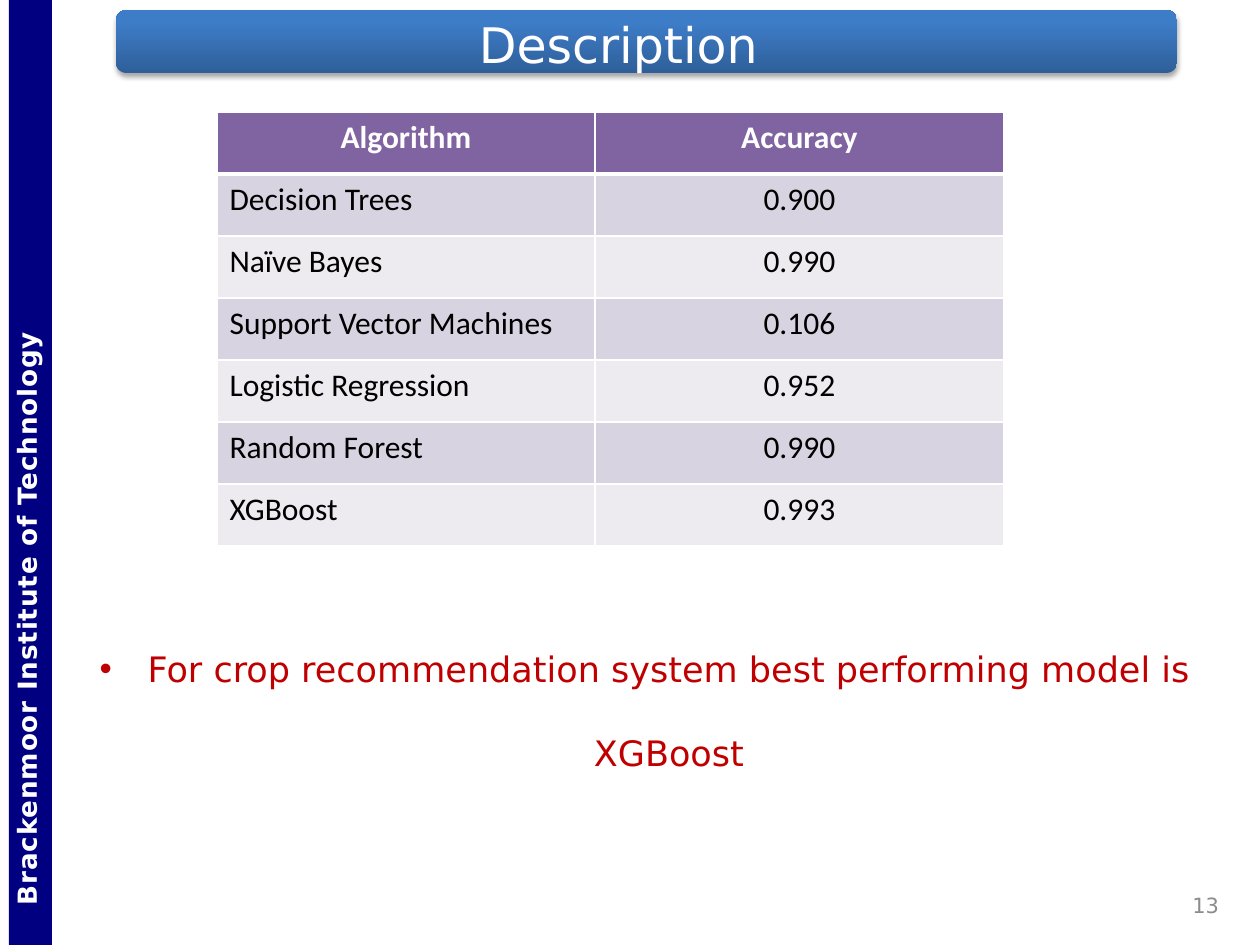
from lxml.etree import SubElement
from pptx import Presentation
from pptx.dml.color import RGBColor
from pptx.enum.shapes import MSO_SHAPE
from pptx.enum.text import MSO_ANCHOR, PP_ALIGN
from pptx.oxml.ns import qn
from pptx.util import Emu, Pt

PX = 914400 / 126
WHITE = RGBColor(0xFF, 0xFF, 0xFF)
BLACK = RGBColor(0x00, 0x00, 0x00)
NAVY = RGBColor(0x00, 0x00, 0x80)
BLUE_DARK = RGBColor(0x2F, 0x5F, 0x99)
BLUE = RGBColor(0x3D, 0x7C, 0xC7)
RED = RGBColor(0xC0, 0x00, 0x00)
GREY = RGBColor(0x8C, 0x8C, 0x8C)
PURPLE = RGBColor(0x80, 0x64, 0xA2)
LILAC = RGBColor(0xD8, 0xD3, 0xE0)
LILAC_PALE = RGBColor(0xED, 0xEA, 0xF0)

ROWS = [
    ("Algorithm", "Accuracy"),
    ("Decision Trees", "0.900"),
    ("Naïve Bayes", "0.990"),
    ("Support Vector Machines", "0.106"),
    ("Logistic Regression", "0.952"),
    ("Random Forest", "0.990"),
    ("XGBoost", "0.993"),
]


def px(*values):
    return [Emu(round(v * PX)) for v in values]


class SlideBuilder:
    font = "DejaVu Sans"

    def __init__(self, slide):
        self.s = slide

    def add_words(self, tf, text, size, color, align=PP_ALIGN.LEFT, bold=False,
                  font=None, **frame):
        for name, value in frame.items():
            setattr(tf, name, value)
        p = tf.paragraphs[0]
        p.alignment = align
        r = p.add_run()
        r.text = text
        style = {"name": font or self.font, "size": Pt(size), "bold": bold}
        for name, value in style.items():
            setattr(r.font, name, value)
        r.font.color.rgb = color
        return p

    def title(self, box, text):
        sp = self.s.shapes.title
        sp.left, sp.top, sp.width, sp.height = px(*box)
        self.add_words(sp.text_frame, text, 28, WHITE, PP_ALIGN.CENTER,
                       vertical_anchor=MSO_ANCHOR.MIDDLE)

    def shape(self, kind, box):
        sp = self.s.shapes.add_shape(kind, *px(*box))
        sp.shadow.inherit = False
        sp.line.fill.background()
        return sp

    def banner(self, box):
        sp = self.shape(MSO_SHAPE.ROUNDED_RECTANGLE, box)
        sp.fill.gradient()
        sp.fill.gradient_angle = 90
        for stop, pos, color in zip(sp.fill.gradient_stops, (0, 0.8),
                                    (BLUE_DARK, BLUE)):
            stop.position = pos
            stop.color.rgb = color
        effects = sp._element.spPr.find(qn("a:effectLst"))
        shadow = SubElement(effects, qn("a:outerShdw"), blurRad=str(Pt(3.1)),
                            dist=str(Pt(1.8)), dir="5400000", rotWithShape="0")
        clr = SubElement(shadow, qn("a:srgbClr"), val=str(BLACK))
        SubElement(clr, qn("a:alpha"), val="35000")
        # Keep the banner behind the title
        self.s.shapes._spTree.insert(2, sp._element)

    def side_bar(self, box, text):
        sp = self.shape(MSO_SHAPE.RECTANGLE, box)
        sp.rotation = 270
        sp.fill.solid()
        sp.fill.fore_color.rgb = NAVY
        left, top, bottom = px(40, 1, 9)
        p = self.add_words(sp.text_frame, text, 15, WHITE, bold=True,
                           margin_left=left, margin_top=top,
                           margin_bottom=bottom,
                           vertical_anchor=MSO_ANCHOR.MIDDLE)
        p.runs[0].font._element.set("spc", "45")

    def text(self, box, text, size, color, align, **frame):
        sp = self.s.shapes.add_textbox(*px(*box))
        return self.add_words(sp.text_frame, text, size, color, align,
                              word_wrap=True, **frame)

    def bullet(self, box, text):
        p = self.text(box, text, 20, RED, PP_ALIGN.CENTER)
        p.line_spacing = 2.0
        indent = px(48)[0]
        pPr = p._p.get_or_add_pPr()
        pPr.set("marL", str(indent))
        pPr.set("indent", str(-indent))
        SubElement(pPr, qn("a:buFont"), typeface="Arial")
        SubElement(pPr, qn("a:buChar"), char="•")

    def borders(self, cell, **widths):
        tcPr = cell._tc.get_or_add_tcPr()
        for side in "LRTB":
            ln = SubElement(tcPr, qn(f"a:ln{side}"),
                            w=str(Pt(widths.get(side, 1))))
            fill = SubElement(ln, qn("a:solidFill"))
            SubElement(fill, qn("a:srgbClr"), val=str(WHITE))

    def table(self, left, top, widths, row_height, rows):
        box = (left, top, sum(widths), row_height * len(rows))
        tbl = self.s.shapes.add_table(len(rows), len(widths), *px(*box)).table
        for col, width in zip(tbl.columns, px(*widths)):
            col.width = width
        for i, values in enumerate(rows):
            tbl.rows[i].height = px(row_height)[0]
            head = i == 0
            fill = PURPLE if head else LILAC if i % 2 else LILAC_PALE
            for j, value in enumerate(values):
                cell = tbl.cell(i, j)
                self.borders(cell, B=3 if head else 1, T=3 if i == 1 else 1)
                cell.fill.solid()
                cell.fill.fore_color.rgb = fill
                align = PP_ALIGN.CENTER if head or j else PP_ALIGN.LEFT
                self.add_words(cell.text_frame, value, 18,
                               WHITE if head else BLACK, align, head, "Calibri")


def main():
    prs = Presentation()
    prs.slide_width, prs.slide_height = px(1260, 945)
    b = SlideBuilder(prs.slides.add_slide(prs.slide_layouts[5]))

    # Side bar, banner and title
    b.side_bar((-442, 451, 945, 43), "Brackenmoor Institute of Technology")
    b.banner((116, 10, 1061, 63))
    b.title((227, 0, 798, 88), "Description ")

    # Accuracy table and conclusion
    b.table(217, 112, (378, 409), 62, ROWS)
    b.bullet((78, 599, 1134, 169),
             "For crop recommendation system best performing model is XGBoost")

    # Slide number
    b.text((1018, 892, 220, 27), "13 ", 12, GREY, PP_ALIGN.RIGHT,
           vertical_anchor=MSO_ANCHOR.MIDDLE)
    prs.save("out.pptx")


if __name__ == "__main__":
    main()
